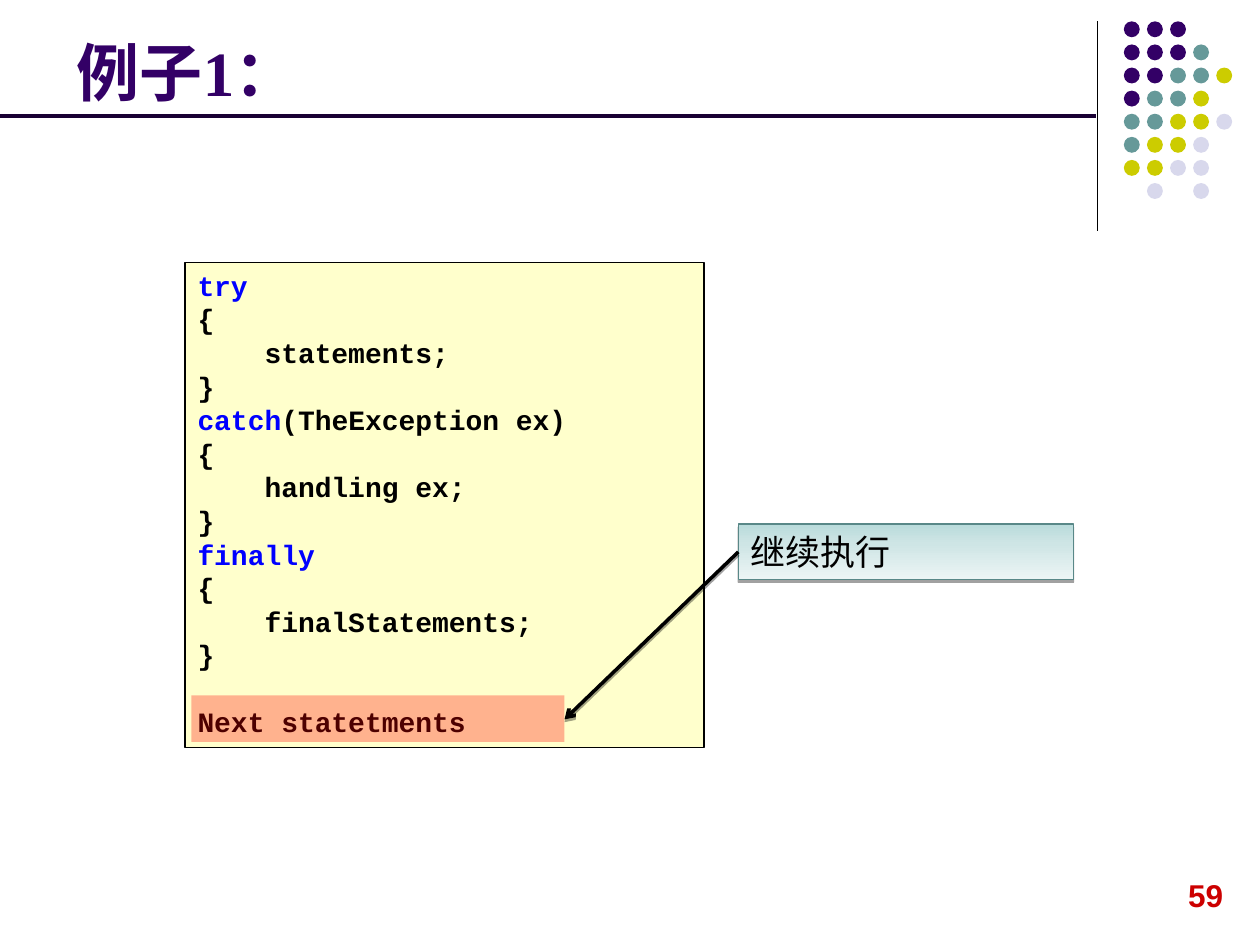
import pptx
import pptx.util
import pptx.dml.color
import pptx.enum.shapes
import pptx.enum.text
import pptx.oxml
import pptx.oxml.ns

Pt = pptx.util.Pt
SHAPE = pptx.enum.shapes.MSO_SHAPE
ANCHOR = pptx.enum.text.MSO_ANCHOR
ALIGN = pptx.enum.text.PP_ALIGN

TITLE = "例子1："
PAGE_NUMBER = "59"
CALLOUT = "继续执行"
KEYWORDS = ("try", "catch", "finally")
CODE = [
    "try",
    "{",
    "    statements;",
    "}",
    "catch(TheException ex)",
    "{",
    "    handling ex;",
    "}",
    "finally",
    "{",
    "    finalStatements;",
    "}",
    "Next statetments",
]
DOTS = ["PPP", "PPPT", "PPTTY", "PTTY", "TTYYL", "TYYL", "YYLL", " L L"]

THEME = {
    "dots": {"P": "330066", "T": "669999", "Y": "CCCC00", "L": "D8D8EC"},
    "title": "330066", "rule": "190033", "ink": "000000", "number": "CC0000",
    "keyword": "0000FF", "code_fill": "FFFFCC", "highlight": "FF0000",
    "callout_line": "598888",
    "callout_stops": [(0, "B9DBDB"), (35, "CEE5E5"), (100, "ECF5F5")],
    "title_size": 36, "code_size": 16, "callout_size": 20, "number_size": 18,
    "title_font": "Times New Roman", "code_font": "Courier New",
    "chinese_font": "Noto Sans CJK SC", "number_font": "Arial",
}
CODE_LEADING = 19.2
DOT_LEFT, DOT_TOP, DOT_PITCH, DOT_SIZE = 642.2, 12.2, 13.2, 9.1


def rgb(value):
    return pptx.dml.color.RGBColor.from_string(value)


def element(xml):
    return pptx.oxml.parse_xml(xml.replace(">", f" {pptx.oxml.ns.nsdecls('a')}>", 1))


def write(box, paragraphs, font, size, bold=False, align=ALIGN.LEFT,
          anchor=ANCHOR.TOP, wrap=True, leading=None):
    frame = box.text_frame
    frame.word_wrap = wrap
    frame.vertical_anchor = anchor
    for index, spans in enumerate(paragraphs):
        para = frame.paragraphs[0] if index == 0 else frame.add_paragraph()
        para.alignment = align
        if leading:
            para.line_spacing = Pt(leading)
        for text, color in spans:
            span = para.add_run()
            span.text = text
            span.font.name = font
            span.font.size = Pt(size)
            span.font.bold = bold
            span.font.color.rgb = rgb(color)
            span.font._element.append(element(f'<a:ea typeface="{THEME["chinese_font"]}"></a:ea>'))
    return frame


def set_shadow(shape, visible):
    shadow = ('<a:outerShdw blurRad="0" dist="20320" dir="5400000" rotWithShape="0">'
              '<a:srgbClr val="000000"><a:alpha val="37000"/></a:srgbClr></a:outerShdw>')
    shape._element.spPr.append(element(f"<a:effectLst>{shadow if visible else ''}</a:effectLst>"))


def add_shape(page, kind, place, fill=None, line=None, shadow=False):
    shape = page.shapes.add_shape(kind, *map(Pt, place))
    if fill:
        shape.fill.solid()
        shape.fill.fore_color.rgb = rgb(fill)
    if line:
        shape.line.color.rgb = rgb(line)
        shape.line.width = Pt(0.75)
    else:
        shape.line.fill.background()
    set_shadow(shape, shadow)
    return shape


def add_line(page, start, end, color, width, shadow=False, arrow=False):
    line = page.shapes.add_connector(
        pptx.enum.shapes.MSO_CONNECTOR.STRAIGHT, *map(Pt, start + end))
    line.line.color.rgb = rgb(color)
    line.line.width = Pt(width)
    if arrow:
        line.line._get_or_add_ln().append(element('<a:tailEnd type="arrow"></a:tailEnd>'))
    set_shadow(line, shadow)


def color_code(text):
    for word in KEYWORDS:
        if text.startswith(word):
            rest = text[len(word):]
            return [(word, THEME["keyword"])] + ([(rest, THEME["ink"])] if rest else [])
    return [(text, THEME["ink"])]


def add_decoration(page):
    add_line(page, (627.1, 12.2), (627.1, 131.8), THEME["ink"], 0.75)
    for row, marks in enumerate(DOTS):
        for column, mark in enumerate(marks):
            if mark in THEME["dots"]:
                place = (DOT_LEFT + column * DOT_PITCH, DOT_TOP + row * DOT_PITCH,
                         DOT_SIZE, DOT_SIZE)
                add_shape(page, SHAPE.OVAL, place, THEME["dots"][mark])
    number = page.shapes.add_textbox(*map(Pt, (671.8, 496.8, 34.6, 28.8)))
    write(number, [[(PAGE_NUMBER, THEME["number"])]], THEME["number_font"],
          THEME["number_size"], bold=True, wrap=False)


def add_title(page):
    title = page.shapes.title
    title.left, title.top, title.width, title.height = map(Pt, (36.7, 15.1, 589.7, 51.1))
    write(title, [[(TITLE, THEME["title"])]], THEME["title_font"],
          THEME["title_size"], bold=True, anchor=ANCHOR.BOTTOM)


def add_code(page):
    box = add_shape(page, SHAPE.RECTANGLE, (105.8, 149.8, 296.6, 277.2),
                    THEME["code_fill"], THEME["ink"])
    frame = write(box, [color_code(text) for text in CODE], THEME["code_font"],
                  THEME["code_size"], bold=True, wrap=False, leading=CODE_LEADING)
    frame.paragraphs[-1].space_before = Pt(CODE_LEADING)
    mark = add_shape(page, SHAPE.RECTANGLE, (109.4, 397.4, 213.1, 26.6), THEME["highlight"])
    color = mark.fill._xPr.find(".//" + pptx.oxml.ns.qn("a:srgbClr"))
    color.append(element('<a:alpha val="30000"></a:alpha>'))


def add_callout(page):
    box = add_shape(page, SHAPE.RECTANGLE, (421.9, 299.5, 191.5, 31.7),
                    line=THEME["callout_line"], shadow=True)
    stops = "".join(f'<a:gs pos="{place * 1000}"><a:srgbClr val="{color}"/></a:gs>'
                    for place, color in THEME["callout_stops"])
    gradient = element(f'<a:gradFill><a:gsLst>{stops}</a:gsLst>'
                       '<a:lin ang="5400000" scaled="0"/></a:gradFill>')
    box._element.spPr.find(pptx.oxml.ns.qn("a:prstGeom")).addnext(gradient)
    write(box, [[(CALLOUT, THEME["ink"])]], THEME["chinese_font"], THEME["callout_size"])
    add_line(page, (421.9, 315.4), (322.6, 411.1), THEME["ink"], 2, shadow=True, arrow=True)


def main():
    deck = pptx.Presentation()
    deck.slide_width, deck.slide_height = Pt(720), Pt(540)
    page = deck.slides.add_slide(deck.slide_layouts[5])
    add_decoration(page)
    add_title(page)
    add_code(page)
    add_callout(page)
    add_line(page, (0, 66.2), (626.4, 66.2), THEME["rule"], 2.25)
    deck.save("out.pptx")


if __name__ == "__main__":
    main()
